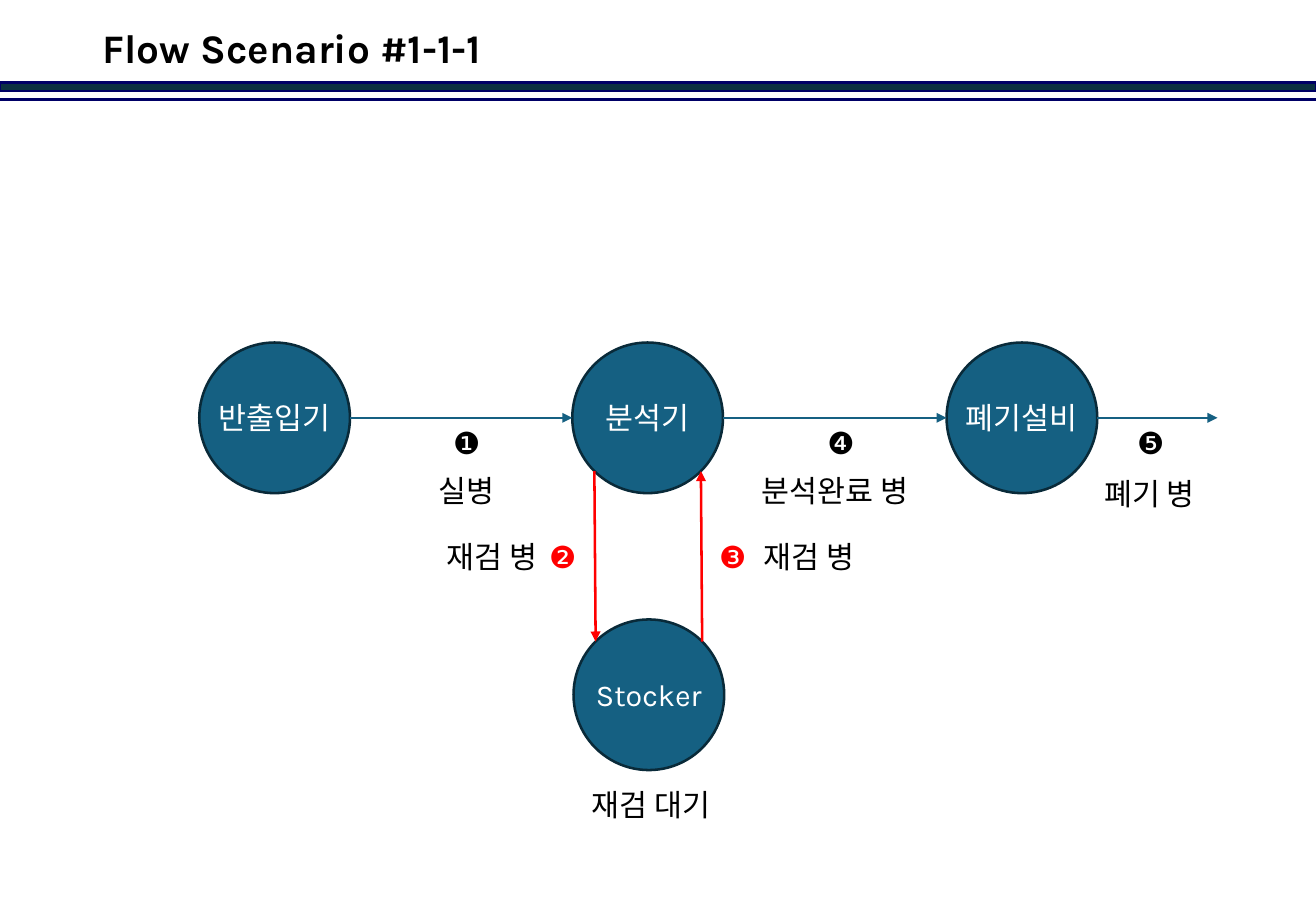
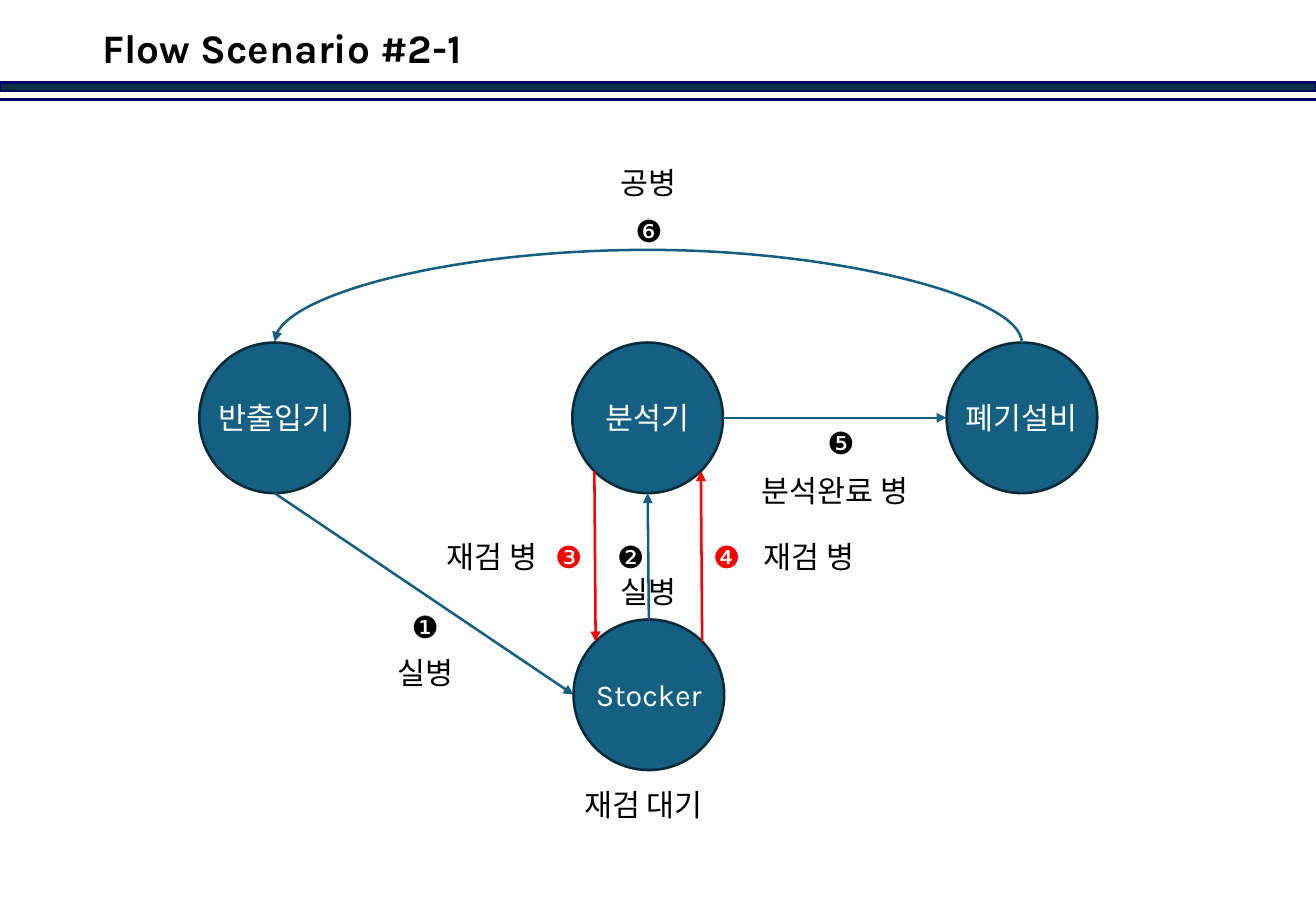
from dataclasses import dataclass
from math import cos, pi, sin

from lxml.etree import SubElement
from pptx import Presentation
from pptx.dml.color import RGBColor as RGB
from pptx.enum.shapes import MSO_CONNECTOR as CXN, MSO_SHAPE as SHP
from pptx.enum.text import MSO_ANCHOR as ANCHOR, MSO_AUTO_SIZE as AUTO, PP_ALIGN as ALIGN
from pptx.oxml.ns import qn
from pptx.util import Inches, Pt


@dataclass(frozen=True)
class Theme:
    font: str = "Karla"
    title_size: int = 24
    body_size: int = 18
    line_width: float = 1.5
    black: str = "000000"
    white: str = "FFFFFF"
    red: str = "FF0000"
    node: str = "156082"
    node_edge: str = "092A39"
    band: str = "0B3041"
    band_edge: str = "000066"


T = Theme()
WIDTH, HEIGHT = 10.83, 7.5
DIAMETER = 1.24
NODES = {"반출입기": (2.26, 3.44), "분석기": (5.33, 3.44),
         "폐기설비": (8.41, 3.44), "Stocker": (5.34, 5.72)}
LOADER, ANALYZER, DISPOSAL, STOCKER = NODES
TOP, TOP_LEFT, LEFT, BOTTOM_LEFT, BOTTOM, BOTTOM_RIGHT, RIGHT, TOP_RIGHT = range(8)


class FlowDeck:
    """Draws flow scenario slides in one shared style."""

    def __init__(self):
        self.prs = Presentation()
        self.prs.slide_width, self.prs.slide_height = Inches(WIDTH), Inches(HEIGHT)
        self.layout = self.prs.slide_layouts[5]
        self.s = None
        self.nodes = {}

    def slide(self, title):
        first = self.s is None
        self.s = self.prs.slides.add_slide(self.layout)
        if first:
            self.bands()
        sp = self.s.shapes.title
        sp.left, sp.top, sp.width, sp.height = map(Inches, (0.74, 0.15, 6.67, 0.53))
        self.text(sp, title, T.black, ALIGN.LEFT, size=T.title_size, bold=True,
                  frame=dict(word_wrap=True, auto_size=AUTO.NONE, vertical_anchor=ANCHOR.MIDDLE))
        sp.text_frame.paragraphs[0].line_spacing = 0.9

    def bands(self):
        bar = self.shape(SHP.RECTANGLE, 0, 0.68, WIDTH, 0.07, T.band, T.band_edge)
        rule = self.line((0, 0.82), (WIDTH, 0.82), T.band_edge)
        for number, sp in enumerate((bar, rule), 101):
            sp.element.xpath("./*/p:cNvPr")[0].set("id", str(number))
            self.layout.shapes.element.append(sp.element)

    def text(self, sp, text, color, align=ALIGN.CENTER, size=T.body_size, bold=False, frame=None):
        tf = sp.text_frame
        for name, value in (frame or {}).items():
            setattr(tf, name, value)
        p = tf.paragraphs[0]
        p.alignment = align
        r = p.add_run()
        r.text = text
        for name, value in dict(name=T.font, size=Pt(size), bold=bold).items():
            setattr(r.font, name, value)
        r.font.color.rgb = RGB.from_string(color)

    def stroke(self, sp, color):
        sp.line.color.rgb = RGB.from_string(color)
        sp.line.width = Pt(T.line_width)

    def shape(self, kind, x, y, w, h, fill, edge):
        sp = self.s.shapes.add_shape(kind, *map(Inches, (x, y, w, h)))
        sp.shadow.inherit = False
        sp.fill.solid()
        sp.fill.fore_color.rgb = RGB.from_string(fill)
        self.stroke(sp, edge)
        return sp

    def node(self, name):
        cx, cy = NODES[name]
        sp = self.shape(SHP.OVAL, cx - DIAMETER / 2, cy - DIAMETER / 2,
                        DIAMETER, DIAMETER, T.node, T.node_edge)
        self.text(sp, name, T.white, frame=dict(word_wrap=False, vertical_anchor=ANCHOR.MIDDLE))
        self.nodes[name] = sp

    def label(self, text, cx, top, color=T.black, align=ALIGN.CENTER, width=None):
        spaces = text.count(" ")
        w = width or 0.21 + 0.25 * (len(text) - spaces) + 0.05 * spaces
        sp = self.s.shapes.add_textbox(*map(Inches, (cx - w / 2, top, w, 0.4)))
        self.text(sp, text, color, align,
                  frame=dict(word_wrap=False, auto_size=AUTO.SHAPE_TO_FIT_TEXT))

    def badge(self, mark, cx, top, color=T.black):
        self.label(mark, cx, top, color, width=0.51)

    def line(self, start, end, color, kind=CXN.STRAIGHT):
        c = self.s.shapes.add_connector(kind, *map(Inches, (*start, *end)))
        self.stroke(c, color)
        SubElement(c.element.spPr, qn("a:effectLst"))
        return c

    def site(self, name, index):
        cx, cy = NODES[name]
        angle = index * pi / 4
        return cx - DIAMETER / 2 * sin(angle), cy - DIAMETER / 2 * cos(angle)

    def glue(self, c, tag, name, index):
        SubElement(c.element.nvCxnSpPr.cNvCxnSpPr, qn(tag),
                   id=str(self.nodes[name].shape_id), idx=str(index))

    def arrow(self, start, end, color=T.node, kind=CXN.STRAIGHT):
        linked = isinstance(end[0], str)
        c = self.line(self.site(*start), self.site(*end) if linked else end, color, kind)
        SubElement(c.element.spPr.find(qn("a:ln")), qn("a:tailEnd"), type="triangle")
        self.glue(c, "a:stCxn", *start)
        if linked:
            self.glue(c, "a:endCxn", *end)
        return c

    def arch(self, start, end, rise):
        c = self.arrow((start, TOP), (end, TOP), kind=CXN.CURVE)
        (x1, y), (x2, _) = self.site(start, TOP), self.site(end, TOP)
        thin, span = 0.01, abs(x1 - x2)
        box = dict(left=(x1 + x2 - thin) / 2, top=y - span / 2, width=thin, height=span)
        for name, value in box.items():
            setattr(c, name, Inches(value))
        xfrm = c.element.spPr.find(qn("a:xfrm"))
        xfrm.attrib.pop("flipH", None)
        xfrm.set("rot", "16200000")
        xfrm.set("flipV", "1")
        geom = c.element.spPr.find(qn("a:prstGeom"))
        guides = geom.find(qn("a:avLst"))
        if guides is None:
            guides = SubElement(geom, qn("a:avLst"))
        SubElement(guides, qn("a:gd"), name="adj1", fmla=f"val {round(rise / thin * 100000)}")

    def scenario(self, title, analyzed, recheck, recheck_x, wait_x):
        self.slide(title)
        for name in NODES:
            self.node(name)
        self.arrow((ANALYZER, RIGHT), (DISPOSAL, LEFT))
        self.arrow((ANALYZER, BOTTOM_LEFT), (STOCKER, TOP_LEFT), T.red)
        self.arrow((STOCKER, TOP_RIGHT), (ANALYZER, BOTTOM_RIGHT), T.red)
        self.badge(analyzed, 6.92, 3.44)
        self.label("분석완료 병", 6.87, 3.84)
        for mark, mark_x, x in zip(recheck, recheck_x, (4.05, 6.66)):
            self.badge(mark, mark_x, 4.38, T.red)
            self.label("재검 병", x, 4.38)
        self.label("재검 대기", wait_x, 6.42, align=ALIGN.LEFT)


def main():
    deck = FlowDeck()

    deck.scenario("Flow Scenario #1-1-1", "❹", "❷❸", (4.63, 6.03), 5.4)
    deck.arrow((LOADER, RIGHT), (ANALYZER, LEFT))
    deck.arrow((DISPOSAL, RIGHT), (10.02, 3.44))
    deck.badge("❶", 3.84, 3.44)
    deck.label("실병", 3.84, 3.84)
    deck.badge("❺", 9.47, 3.44)
    deck.label("폐기 병", 9.46, 3.86)

    deck.scenario("Flow Scenario #2-1", "❺", "❸❹", (4.68, 5.98), 5.34)
    deck.arch(DISPOSAL, LOADER, 0.78)
    deck.arrow((STOCKER, TOP), (ANALYZER, BOTTOM))
    deck.arrow((LOADER, BOTTOM), (STOCKER, LEFT))
    for mark, text, mark_x, mark_y, x, y in (
            ("❶", "실병", 3.5, 4.96, 3.5, 5.34),
            ("❷", "실병", 5.19, 4.38, 5.34, 4.67),
            ("❻", "공병", 5.34, 1.7, 5.34, 1.3)):
        deck.badge(mark, mark_x, mark_y)
        deck.label(text, x, y)

    deck.prs.save("out.pptx")


if __name__ == "__main__":
    main()
